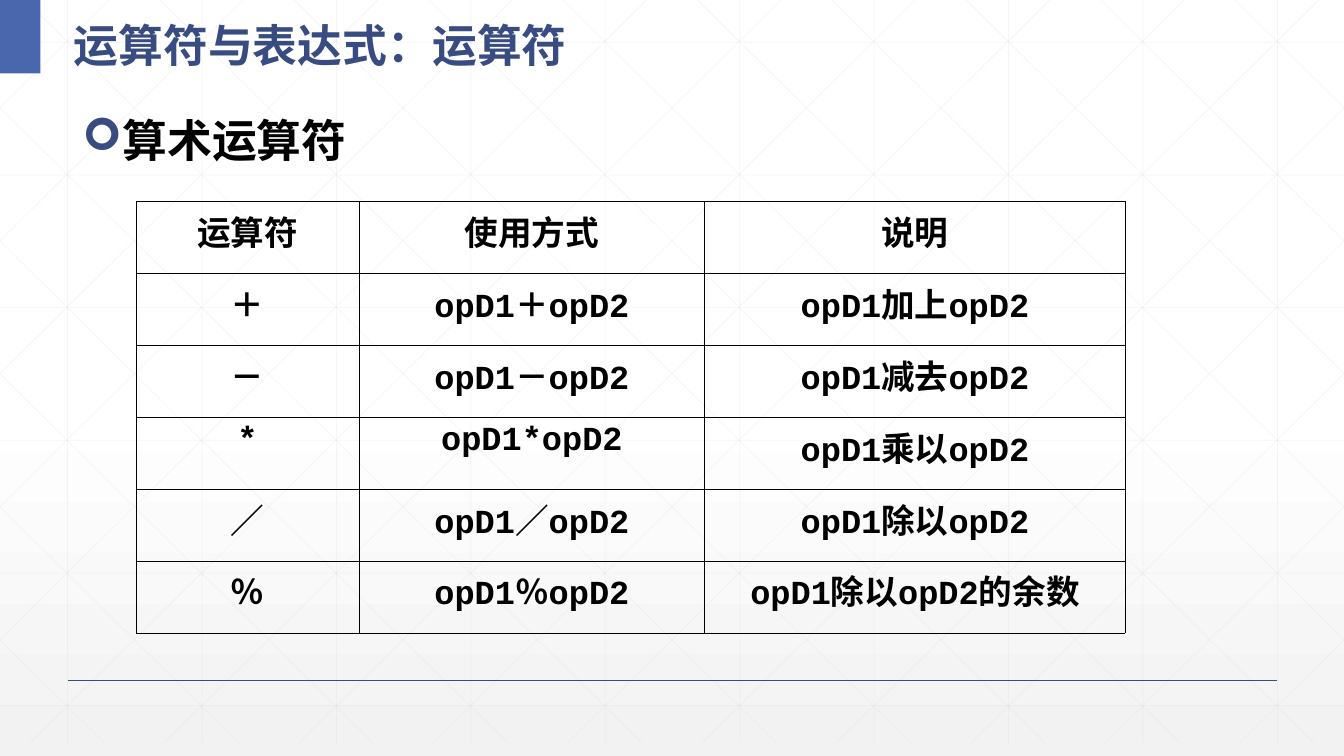
from lxml import etree
from pptx import Presentation
from pptx.dml.color import RGBColor
from pptx.enum import shapes, text
from pptx.oxml import ns
from pptx.util import Inches, Pt

NAVY = RGBColor(0x38, 0x4C, 0x81)
BLUE = RGBColor(0x4A, 0x66, 0xAC)
BLACK = RGBColor(0, 0, 0)
GRID_GRAY = RGBColor(0xD9, 0xD9, 0xD9)
WHITE = RGBColor(0xFF, 0xFF, 0xFF)
PALE_GRAY = RGBColor(0xF2, 0xF2, 0xF2)
HEADING_FONT = "Noto Sans CJK SC"
CODE_FONT = "Courier New"
SLIDE_W, SLIDE_H = 13.33, 7.5

OPERATORS = [
    ("运算符", "使用方式", "说明"),
    ("＋", "opD1＋opD2", "opD1加上opD2"),
    ("－", "opD1－opD2", "opD1减去opD2"),
    ("*", "opD1*opD2", "opD1乘以opD2"),
    ("／", "opD1／opD2", "opD1除以opD2"),
    ("％", "opD1％opD2", "opD1除以opD2的余数"),
]


def add_element(parent, tag, **attributes):
    return etree.SubElement(parent, ns.qn(tag), attributes)


def format_paragraph(paragraph, font, size, color):
    for run in paragraph.runs:
        run.font.name = font
        run.font.size = Pt(size)
        run.font.bold = True
        run.font.color.rgb = color
        add_element(run.font._element, "a:ea", typeface=HEADING_FONT)


def add_line(slide, start, end, color, width, alpha=None):
    line = slide.shapes.add_connector(
        shapes.MSO_CONNECTOR.STRAIGHT, *map(Inches, start + end))
    line.line.color.rgb = color
    line.line.width = Pt(width)
    properties = line._element.spPr
    if alpha:
        tint = properties.find(".//" + ns.qn("a:srgbClr"))
        add_element(tint, "a:alpha", val=str(alpha * 1000))
    add_element(properties, "a:effectLst")


def fill_background(slide):
    fill = slide.background.fill
    fill.gradient()
    fill.gradient_angle = 270
    stops = slide._element.find(".//" + ns.qn("a:gsLst"))
    for stop in list(stops):
        stops.remove(stop)
    for position, color in [(0, WHITE), (53, WHITE), (100, PALE_GRAY)]:
        stop = add_element(stops, "a:gs", pos=str(position * 1000))
        add_element(stop, "a:srgbClr", val=str(color))


def draw_grid(slide, width, height):
    step, run = 4 / 3, 7.45

    def grid_line(start, end):
        add_line(slide, start, end, GRID_GRAY, 0.5, alpha=25)

    for column in range(10):
        x = 0.67 + column * step
        grid_line((x, 0), (x, height))
    for row in range(6):
        y = 0.42 + row * 1.316
        grid_line((0, y), (width, y))
    for diagonal in range(-5, 10):
        origin = 0.25 + diagonal * step
        first = max(0, -origin / run)
        last = min(1, (width - origin) / run)
        x1, x2 = origin + first * run, origin + last * run
        y1, y2 = first * height, last * height
        grid_line((x1, y1), (x2, y2))
        grid_line((width - x1, y1), (width - x2, y2))


def place_heading(slide, left, top, width, height):
    marker = slide.shapes.add_shape(
        shapes.MSO_SHAPE.RECTANGLE, *map(Inches, (left, top, 0.4, height)))
    marker.shadow.inherit = False
    marker.fill.solid()
    marker.fill.fore_color.rgb = BLUE
    marker.line.fill.background()

    title = slide.shapes.title
    slide.shapes._spTree.append(title._element)
    title.left, title.top = Inches(left + 0.63), Inches(top)
    title.width, title.height = Inches(width - 0.63), Inches(height)
    frame = title.text_frame
    frame.text = "运算符与表达式：运算符"
    frame.vertical_anchor = text.MSO_ANCHOR.MIDDLE
    frame.auto_size = text.MSO_AUTO_SIZE.NONE
    frame.word_wrap = True
    heading = frame.paragraphs[0]
    heading.alignment = text.PP_ALIGN.LEFT
    heading.line_spacing = 1.3
    format_paragraph(heading, HEADING_FONT, 32, NAVY)


def place_topic(slide, left, top, width, height):
    topic = slide.shapes.add_textbox(*map(Inches, (left, top, width, height)))
    frame = topic.text_frame
    frame.word_wrap = True
    frame.margin_top = 0
    frame.text = "算术运算符"
    paragraph = frame.paragraphs[0]
    properties = paragraph._p.get_or_add_pPr()
    properties.set("marL", str(Inches(0.25)))
    properties.set("indent", str(-Inches(0.25)))
    bullet_color = add_element(properties, "a:buClr")
    add_element(bullet_color, "a:srgbClr", val=str(NAVY))
    add_element(properties, "a:buFont", typeface="Wingdings")
    add_element(properties, "a:buChar", char="➢")
    format_paragraph(paragraph, HEADING_FONT, 32, BLACK)


def border_cell(cell):
    properties = cell._tc.get_or_add_tcPr()
    for side in ("a:lnL", "a:lnR", "a:lnT", "a:lnB"):
        border = add_element(properties, side, w=str(Pt(0.5)))
        fill = add_element(border, "a:solidFill")
        add_element(fill, "a:srgbClr", val=str(BLACK))


def place_operators(slide, left, top, width, height):
    table = slide.shapes.add_table(
        len(OPERATORS), len(OPERATORS[0]),
        *map(Inches, (left, top, width, height))).table
    table.first_row = False
    table.horz_banding = False
    for column, column_width in zip(table.columns, (2.21, 3.43, width - 5.64)):
        column.width = Inches(column_width)
    for row, labels in enumerate(OPERATORS):
        for column, label in enumerate(labels):
            cell = table.cell(row, column)
            border_cell(cell)
            cell.fill.background()
            cell.text_frame.text = label
            paragraph = cell.text_frame.paragraphs[0]
            paragraph.alignment = text.PP_ALIGN.CENTER
            format_paragraph(paragraph, CODE_FONT if row else HEADING_FONT, 24, BLACK)


def main():
    deck = Presentation()
    deck.slide_width, deck.slide_height = Inches(SLIDE_W), Inches(SLIDE_H)
    slide = deck.slides.add_slide(deck.slide_layouts[5])
    fill_background(slide)
    draw_grid(slide, SLIDE_W, 7.37)
    add_line(slide, (0.67, 6.75), (12.67, 6.75), NAVY, 1)
    place_heading(slide, 0, 0, 6.32, 0.73)
    place_topic(slide, 0.72, 1.12, 11.74, 0.75)
    place_operators(slide, 1.35, 2, 9.81, 4.28)
    deck.save("out.pptx")


if __name__ == "__main__":
    main()
